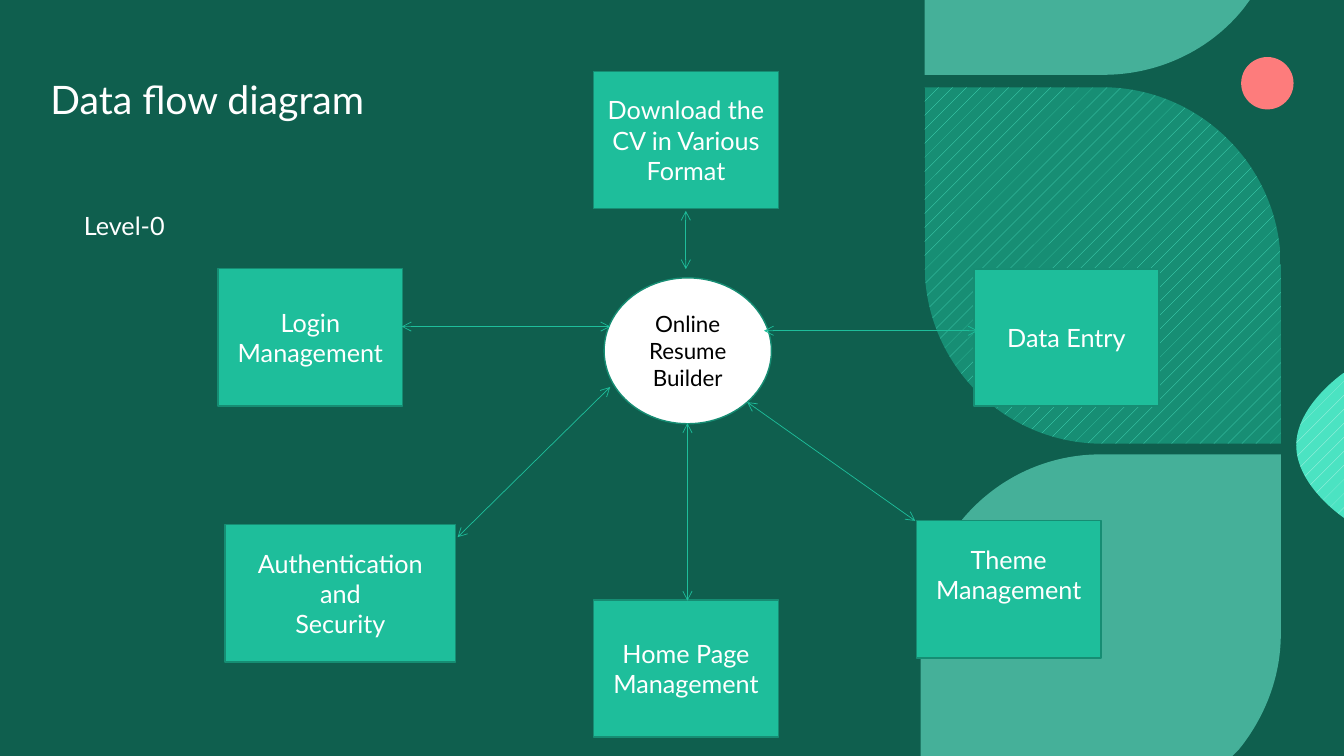
from pptx import Presentation, util as u
from pptx.dml.color import RGBColor
from pptx.enum import dml, shapes, text
from pptx.oxml.ns import qn
from lxml import etree

COLORS = {
    "ground": "09392F", "veil": "18997E", "box": "1EBE9B", "edge": "168D73",
    "leaf": "69E7CC", "stripe": "178E74", "mint": "4BE3C2", "pale": "C3F6EB",
    "coral": "FD7C7C", "white": "FFFFFF", "black": "000000",
}
RGB = {name: RGBColor.from_string(value) for name, value in COLORS.items()}
FONT = "Lato"
RECT, OVAL = shapes.MSO_SHAPE.RECTANGLE, shapes.MSO_SHAPE.OVAL

deck = Presentation()
deck.slide_width, deck.slide_height = u.Inches(13.33), u.Inches(7.5)
column, row = deck.slide_width / 100, deck.slide_height / 100
page = deck.slides.add_slide(deck.slide_layouts[5])
page.background.fill.solid()
page.background.fill.fore_color.rgb = RGB["ground"]


def grid(*numbers):
    return [round(n * (row if i % 2 else column)) for i, n in enumerate(numbers)]


def write(shape, lines, size, color, align, anchor):
    frame = shape.text_frame
    frame.text = lines
    frame.word_wrap = True
    frame.auto_size = text.MSO_AUTO_SIZE.NONE
    frame.vertical_anchor = anchor
    for para in frame.paragraphs:
        para.alignment = align
        para.font.name = FONT
        para.font.size = u.Pt(size)
        para.font.color.rgb = RGB[color]
    return frame


decor = []
for kind, place, color, opacity in [
    (RECT, (0, 0, 100, 100), "veil", 40),
    (OVAL, (92.35, 7.55, 3.9, 6.93), "coral", 100),
]:
    shape = page.shapes.add_shape(kind, *grid(*place))
    decor.append((shape, color, None, opacity))

leaves = [
    ("leaf", None, 60, [(68.8, 0), (93, 0), (92.5, 1.2),
                        (90.1, 6.5, 86.3, 9.9, 82.1, 9.9), (68.8, 9.9)]),
    ("leaf", None, 60, [(81.9, 60.1), (95.3, 60.1), (95.3, 83.9),
                        (95.3, 89.6, 94.1, 94.9, 92.2, 99.1), (91.7, 100),
                        (68.5, 100), (68.5, 84), (68.5, 70.8, 74.5, 60.1, 81.9, 60.1)]),
    ("mint", "pale", 100, [(100, 49.3), (100, 68.5), (100, 68.5, 96.45, 64.3, 96.45, 58.9),
                           (96.45, 53.6, 100, 49.3, 100, 49.3)]),
    ("stripe", "mint", 100, [(95.3, 58.7), (82.05, 58.7),
                             (74.7, 58.7, 68.8, 48.1, 68.8, 35.1),
                             (68.8, 11.55), (82.05, 11.55),
                             (89.3, 11.55, 95.3, 22.1, 95.3, 35.2)]),
]
for color, stripes, opacity, outline in leaves:
    anchors = [grid(*step[-2:]) for step in outline]
    builder = page.shapes.build_freeform(*anchors[0])
    builder.add_line_segments(anchors[1:], close=True)
    leaf = builder.convert_to_shape()
    segments = list(leaf._element.iter(qn("a:lnTo")))
    for segment, step in zip(segments, outline[1:]):
        if len(step) == 6:
            numbers = grid(*step)
            segment.clear()
            for x, y in zip(numbers[::2], numbers[1::2]):
                point = etree.SubElement(segment, qn("a:pt"))
                point.set("x", str(x - leaf.left))
                point.set("y", str(y - leaf.top))
            segment.tag = qn("a:cubicBezTo")
    decor.append((leaf, color, stripes, opacity))

for shape, color, stripes, opacity in decor:
    shape.shadow.inherit = False
    shape.line.fill.background()
    if stripes:
        shape.fill.patterned()
        shape.fill.pattern = dml.MSO_PATTERN.PERCENT_5
        shape.fill.fore_color.rgb = RGB[stripes]
        shape.fill.back_color.rgb = RGB[color]
        continue
    shape.fill.solid()
    shape.fill.fore_color.rgb = RGB[color]
    if opacity < 100:
        tint = shape._element.spPr.find(qn("a:solidFill"))[0]
        etree.SubElement(tint, qn("a:alpha")).set("val", str(opacity * 1000))

title = page.shapes.title
page.shapes._spTree.append(title._element)
title.left, title.top, title.width, title.height = grid(3, 3.85, 32.4, 13.1)
frame = write(title, "Data flow diagram", 28, "white",
              text.PP_ALIGN.LEFT, text.MSO_ANCHOR.BOTTOM)
frame.paragraphs[0].line_spacing = 0.9

BOX_WIDTH, BOX_HEIGHT = 13.75, 18.15
nodes = [
    ("Online\nResume Builder", OVAL, 44.95, 36.75, 12.45, 19.3, "white", "black", 16),
] + [
    (label, RECT, left, top, width, BOX_HEIGHT, "box", "white", 18)
    for label, left, top, width in [
        ("Download the CV in Various Format", 44.17, 9.45, BOX_WIDTH),
        ("Home Page Management", 44.17, 79.35, BOX_WIDTH),
        ("Data Entry", 72.48, 35.57, BOX_WIDTH),
        ("Theme Management", 68.18, 68.87, BOX_WIDTH),
        ("Authentication and\nSecurity", 16.75, 69.4, 17.15),
        ("Login Management", 16.22, 35.55, BOX_WIDTH),
    ]
]
for label, kind, left, top, width, height, fill, ink, size in nodes:
    box = page.shapes.add_shape(kind, *grid(left, top, width, height))
    box.shadow.inherit = False
    box.fill.solid()
    box.fill.fore_color.rgb = RGB[fill]
    box.line.color.rgb = RGB["edge"]
    box.line.width = u.Pt(1)
    frame = write(box, label, size, ink, text.PP_ALIGN.CENTER, text.MSO_ANCHOR.MIDDLE)
    if label == "Theme Management":
        frame.margin_bottom = u.Inches(0.35)

flows = [
    (51.03, 27.9, 51.03, 35.6), (29.9, 43.2, 45.4, 43.2), (34.05, 71.05, 45.4, 51.2),
    (56.85, 43.75, 72.75, 43.75), (51.15, 79.45, 51.15, 56), (55.6, 53.2, 68.1, 68.9),
]
for ends in flows:
    arrow = page.shapes.add_connector(shapes.MSO_CONNECTOR.STRAIGHT, *grid(*ends))
    arrow.line.color.rgb = RGB["box"]
    arrow.line.width = u.Pt(0.5)
    for end in ("headEnd", "tailEnd"):
        etree.SubElement(arrow.line._ln, qn("a:" + end)).set("type", "arrow")
    etree.SubElement(arrow._element.spPr, qn("a:effectLst"))

level = page.shapes.add_textbox(*grid(5.5, 27.1, 12.7, 5.35))
write(level, "Level-0", 18, "white", text.PP_ALIGN.LEFT, text.MSO_ANCHOR.TOP)

deck.save("out.pptx")
